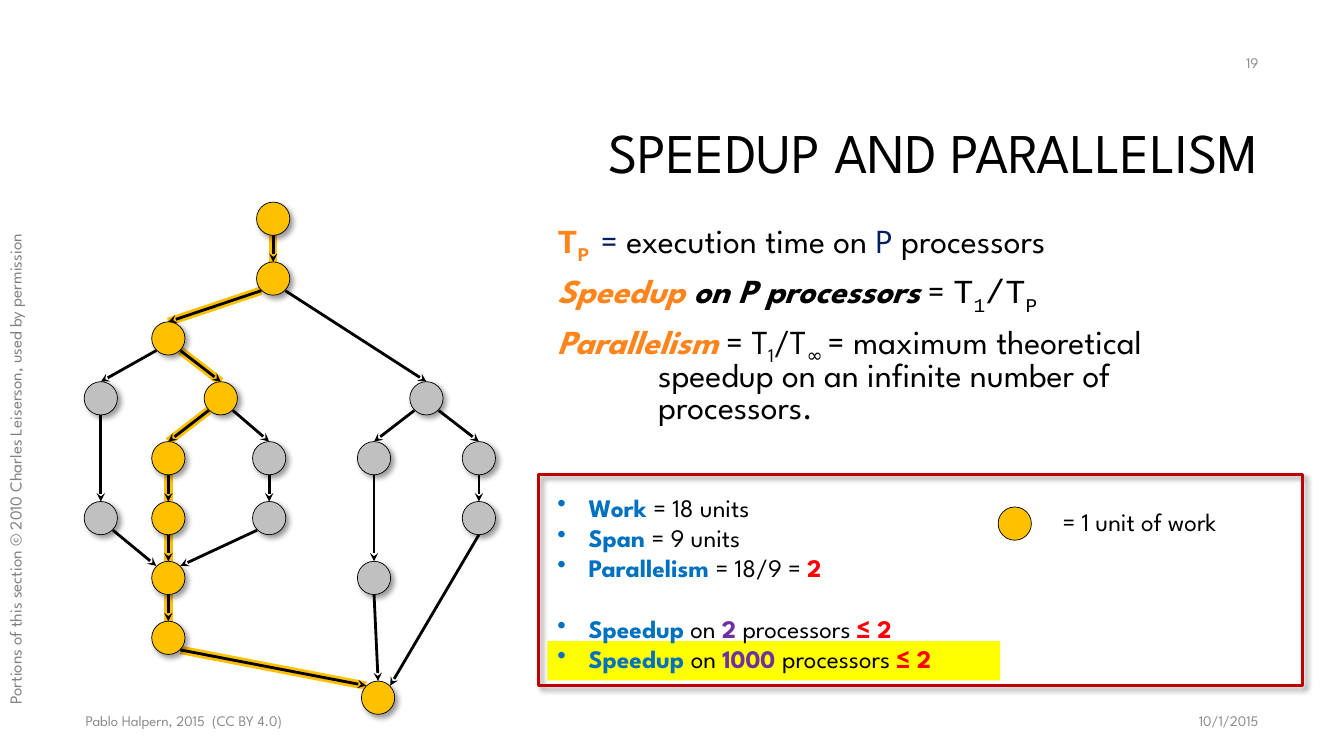
from lxml import etree
from pptx import Presentation
from pptx.dml.color import RGBColor
from pptx.enum.shapes import MSO_CONNECTOR, MSO_SHAPE
from pptx.enum.text import MSO_ANCHOR, PP_ALIGN
from pptx.oxml import parse_xml
from pptx.oxml.ns import qn
from pptx.util import Inches, Pt

LINE = MSO_CONNECTOR.STRAIGHT
OVAL, RECT = MSO_SHAPE.OVAL, MSO_SHAPE.RECTANGLE
TOP, MIDDLE = MSO_ANCHOR.TOP, MSO_ANCHOR.MIDDLE
LEFT, RIGHT = PP_ALIGN.LEFT, PP_ALIGN.RIGHT
SANS, MONO = "League Spartan", "Courier New"
BLACK, GOLD, GREY, ORANGE = "000000", "FFC000", "C0C0C0", "FF841C"
NAVY, PALE = "002060", "8C8C8C"
hue = RGBColor.from_string

SHADOW = (
    '<a:outerShdw xmlns:a="http://schemas.openxmlformats.org/drawingml/2006/main" '
    'blurRad="50800" dist="38100" dir="2700000" algn="tl" rotWithShape="0">'
    '<a:srgbClr val="000000"><a:alpha val="40000"/></a:srgbClr></a:outerShdw>'
)

prs = Presentation()
prs.slide_width, prs.slide_height = Inches(13.33), Inches(7.5)
slide = prs.slides.add_slide(prs.slide_layouts[6])
shapes = slide.shapes


def write(box, paras, size, color=BLACK, align=LEFT, anchor=TOP, lead=None,
          before=0, indent=0, bullet=None, gaps=(), turn=None):
    """Add a text box; each paragraph is a list of (text, run format) pairs.

    gaps lists the paragraphs that get a blank line's height above them.
    """
    frame = shapes.add_textbox(*map(Inches, box)).text_frame
    frame.word_wrap = True
    frame.vertical_anchor = anchor
    if turn:
        frame._txBody.bodyPr.set("vert", turn)
    for i, runs in enumerate(paras):
        para = frame.paragraphs[0] if i == 0 else frame.add_paragraph()
        para.alignment = align
        para.space_before = Pt(22 if i in gaps else before)
        if lead:
            para.line_spacing = lead
        props = para._p.get_or_add_pPr()
        if indent:
            props.set("marL", str(Inches(indent)))
            props.set("indent", str(-Inches(indent)))
        if bullet:
            etree.SubElement(props, qn("a:buChar")).set("char", bullet)
        for words, form in runs:
            run = para.add_run()
            run.text = words
            font = run.font
            font.size = Pt(size)
            font.name = form.get("face", SANS)
            font.color.rgb = hue(form.get("color", color))
            font.bold = form.get("bold", False)
            font.italic = form.get("italic", False)
            if form.get("sub"):
                run._r.get_or_add_rPr().set("baseline", "-25000")


def draw(kind, box, fill=None, line=None, width=0.5, shade=False):
    shape = shapes.add_shape(kind, *map(Inches, box))
    shape.shadow.inherit = False
    if fill:
        shape.fill.solid()
        shape.fill.fore_color.rgb = hue(fill)
    else:
        shape.fill.background()
    if line:
        shape.line.color.rgb = hue(line)
        shape.line.width = Pt(width)
    else:
        shape.line.fill.background()
    if shade:
        shape._element.spPr.find(qn("a:effectLst")).append(parse_xml(SHADOW))


# Heading and definitions
draw(RECT, (5.43, 6.36, 4.49, 0.39), fill="FFFF00")
write((2, 0.84, 10.58, 1.41), [[("SPEEDUP AND PARALLELISM", {})]], 40,
      align=RIGHT, anchor=MIDDLE, lead=0.9)

plain, sub = {}, {"sub": True}
mono, low = {"face": MONO}, {"face": MONO, "sub": True}
navy = {"color": NAVY}
key = {"face": MONO, "color": ORANGE, "bold": True}
term = {"color": ORANGE, "bold": True, "italic": True}
write((5.43, 2.17, 7.15, 2.09), [
    [("T", key), ("P ", {**key, "sub": True}), ("= ", navy),
     ("execution time on ", plain), ("P", navy), (" processors", plain)],
    [("Speedup ", term), ("on P processors", {**term, "color": BLACK}),
     (" = ", plain), ("T", mono), ("1", low), ("/T", mono), ("P", low)],
    [("Parallelism", term), (" = T", plain), ("1", sub), ("/T", plain),
     ("∞ ", sub),
     ("= maximum theoretical speedup on an infinite number of processors.",
      plain)],
], 24, lead=0.8, before=10, indent=1)

# Footer, date and page number
for box, words, side in [
    ((9.4, 6.95, 3.18, 0.4), "10/1/2015", RIGHT),
    ((0.75, 6.95, 8.5, 0.4), "Pablo Halpern, 2015\u00a0 (CC BY 4.0)".replace("\u00a0", " "), LEFT),
    ((9.58, 0.42, 3, 0.4), "19", RIGHT),
]:
    write(box, [[(words, {})]], 10.5, color=PALE, align=side, anchor=MIDDLE)

# Task graph: centre x and row of each node
SIZE, STEP, START = 0.33, 0.594, 2.17
span = {"root": (2.71, 0), "fork": (2.71, 1), "left": (1.67, 2),
        "mid": (2.19, 3), "a4": (1.67, 4), "a5": (1.67, 5),
        "join": (1.67, 6), "a7": (1.67, 7), "end": (3.75, 8)}
side = {"far3": (1, 3), "far5": (1, 5), "b4": (2.67, 4), "b5": (2.67, 5),
        "right": (4.23, 3), "c4": (3.71, 4), "c6": (3.71, 6),
        "d4": (4.75, 4), "d5": (4.75, 5)}
nodes = {**span, **side}
ports = {"t": (0, -0.165), "b": (0, 0.165), "tl": (-0.12, -0.12),
         "tr": (0.12, -0.12), "bl": (-0.12, 0.12), "br": (0.12, 0.12)}
chief = ["root b fork t", "fork bl left t", "left br mid t", "mid bl a4 t",
         "a4 b a5 t", "a5 b join t", "join b a7 t", "a7 br end tl"]
minor = ["fork br right t", "left bl far3 t", "far3 b far5 t", "mid br b4 t",
         "far5 br join tl", "right br d4 t", "b5 bl join tr", "b4 b b5 t",
         "right bl c4 t", "c4 b c6 t", "d4 b d5 t", "d5 b end tr",
         "c6 b end t"]

for edges, color, width in [(chief, GOLD, 6), (chief + minor, BLACK, 2)]:
    for edge in edges:
        a, out, b, into = edge.split()
        ends = []
        for node, port in [(a, out), (b, into)]:
            x, row = nodes[node]
            dx, dy = ports[port]
            ends += [Inches(x + dx), Inches(START + row * STEP + dy)]
        link = shapes.add_connector(LINE, *ends)
        link.line.color.rgb = hue(color)
        link.line.width = Pt(width)
        if color == BLACK:
            tip = etree.SubElement(link.line._get_or_add_ln(), qn("a:tailEnd"))
            tip.set("type", "stealth")
        etree.SubElement(link._element.spPr, qn("a:effectLst"))

for name, (x, row) in nodes.items():
    draw(OVAL, (x - SIZE / 2, START + row * STEP - SIZE / 2, SIZE, SIZE),
         fill=GOLD if name in span else GREY, line=BLACK, shade=True)

# Results panel
draw(OVAL, (9.9, 5.03, SIZE, SIZE), fill=GOLD, line=BLACK)
write((10.44, 4.97, 2.11, 0.4), [[("= 1 unit of work", {})]], 18)
blue, red, plum = ({"color": c, "bold": True}
                   for c in ("0070C0", "FF0000", "7030A0"))
write((5.43, 4.83, 7.32, 1.92), [
    [("Work ", blue), ("= 18 units", plain)],
    [("Span ", blue), ("= 9 units", plain)],
    [("Parallelism ", blue), ("= 18/9 = ", plain), ("2", red)],
    [("Speedup", blue), (" on ", plain), ("2", plum),
     (" processors ", plain), ("≤ 2", red)],
    [("Speedup ", blue), ("on ", plain), ("1000 ", plum),
     ("processors ", plain), ("≤ 2", red)],
], 18, indent=0.31, bullet="•", gaps=(3,))
draw(RECT, (5.34, 4.71, 7.58, 2.09), line="C00000", width=2.25, shade=True)

credit = "Portions of this section © 2010 Charles Leiserson, used by permission"
write((0, 1.42, 0.4, 5.67), [[(credit, {})]], 12, color="808080",
      turn="vert270")

prs.save("out.pptx")
